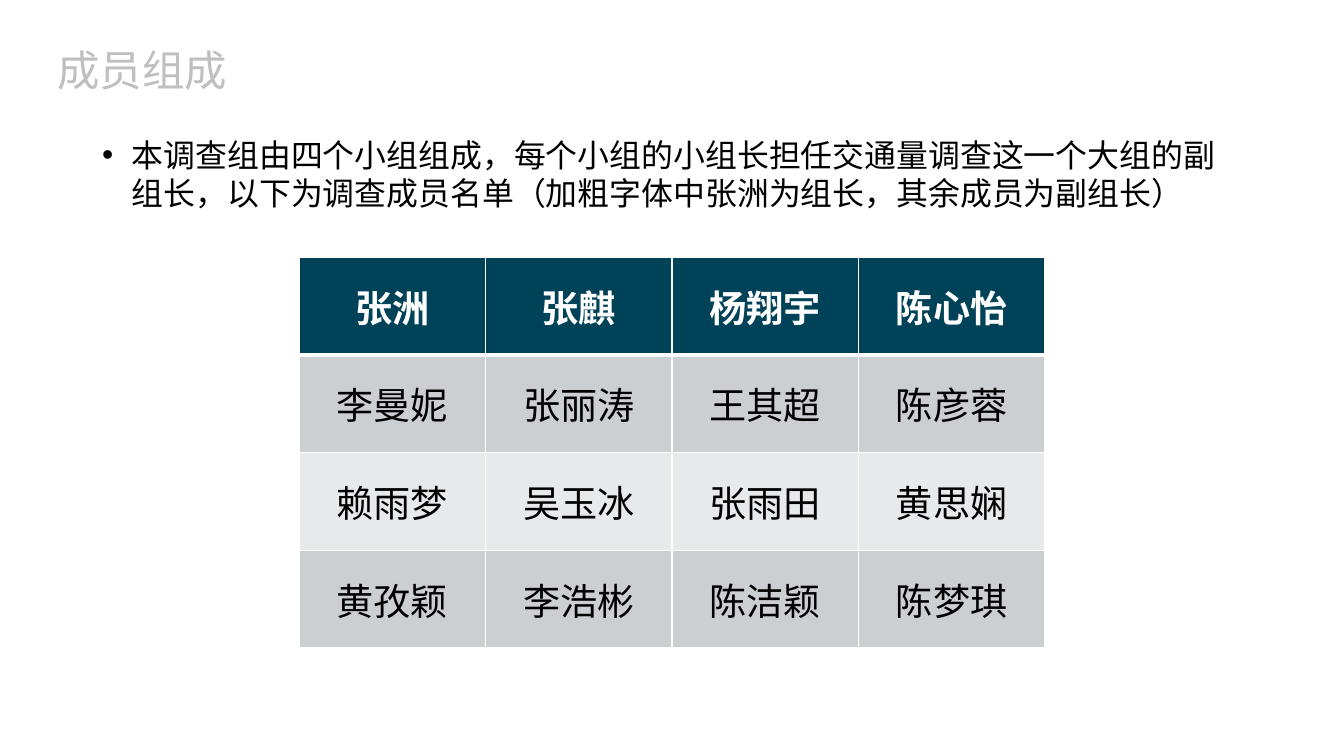
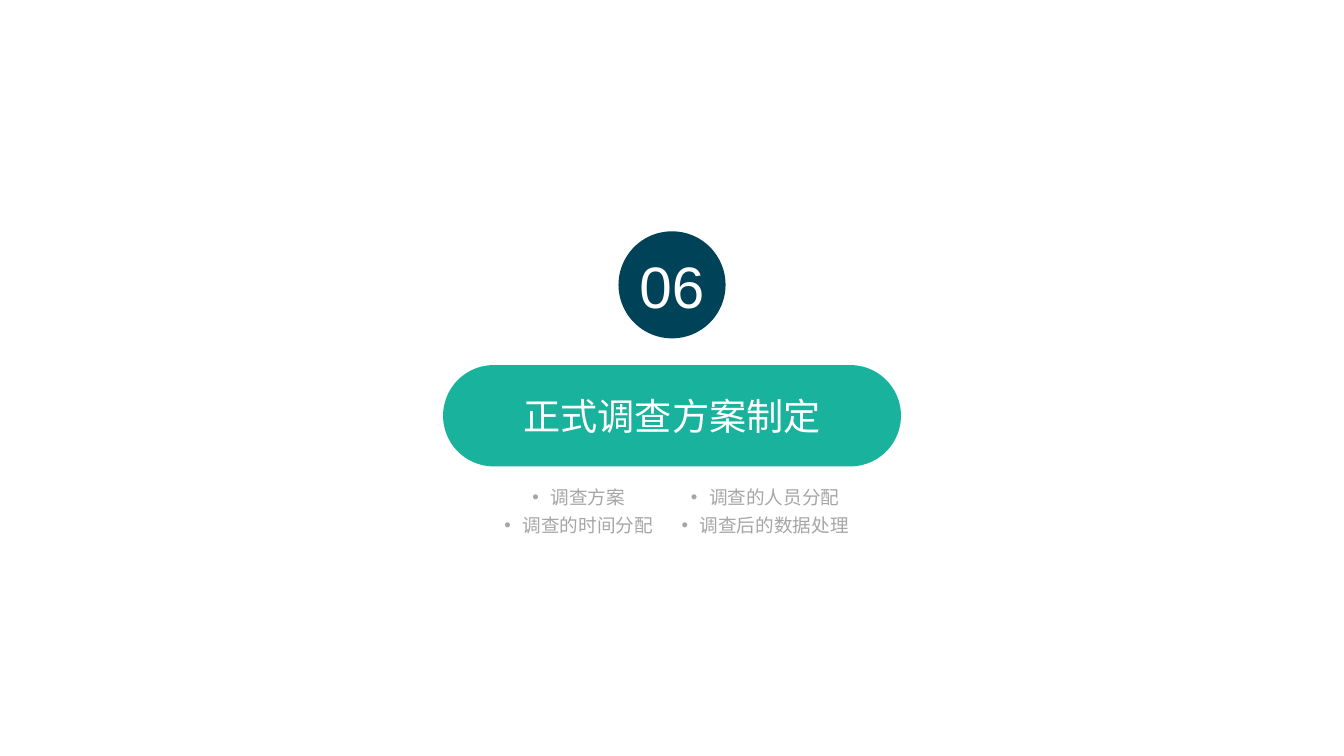
from dataclasses import dataclass

from lxml import etree
from pptx import Presentation
from pptx.dml.color import RGBColor
from pptx.enum.shapes import MSO_SHAPE
from pptx.enum.text import MSO_ANCHOR, MSO_AUTO_SIZE, PP_ALIGN
from pptx.oxml.ns import qn
from pptx.util import Inches, Pt

CENTER, LEFT = PP_ALIGN.CENTER, PP_ALIGN.LEFT
MIDDLE, TOP = MSO_ANCHOR.MIDDLE, MSO_ANCHOR.TOP
OVAL, PILL = MSO_SHAPE.OVAL, MSO_SHAPE.ROUNDED_RECTANGLE
NO_FIT = MSO_AUTO_SIZE.NONE


@dataclass(frozen=True)
class Theme:
    navy: str = "004358"
    teal: str = "18B29D"
    white: str = "FFFFFF"
    black: str = "000000"
    title_gray: str = "BFBFBF"
    topic_gray: str = "A6A6A6"
    first_band: str = "CBCFD1"
    dark_band: str = "CCCFD1"
    light_band: str = "E7E9EA"
    font: str = "Arial"
    title_font: str = "Noto Sans CJK SC"
    table_font: str = "Calibri"
    topic: int = 14
    body: int = 24
    label: int = 28
    title: int = 32
    number: int = 44
    leading: float = 1.2


T = Theme()
SLIDE_W, SLIDE_H = 14.06, 7.91

MEMBERS = [
    ["张洲", "张麒", "杨翔宇", "陈心怡"],
    ["李曼妮", "张丽涛", "王其超", "陈彦蓉"],
    ["赖雨梦", "吴玉冰", "张雨田", "黄思娴"],
    ["黄孜颖", "李浩彬", "陈洁颖", "陈梦琪"],
]
TOPICS = [
    ["调查方案", "调查的人员分配"],
    ["调查的时间分配", "调查后的数据处理"],
]


def rgb(value):
    return RGBColor.from_string(value)


def write(tf, text, size, color, font=T.font, bold=False, align=LEFT,
          leading=None, hang=None):
    p = tf.paragraphs[0]
    p.alignment = align
    if leading:
        p.line_spacing = Pt(size * leading)
    if hang:
        pPr = p._p.get_or_add_pPr()
        pPr.set("marL", str(Inches(hang)))
        pPr.set("indent", str(-Inches(hang)))
        etree.SubElement(pPr, qn("a:buFont")).set("typeface", T.font)
        etree.SubElement(pPr, qn("a:buChar")).set("char", "•")
    r = p.add_run()
    r.text = text
    r.font.size = Pt(size)
    r.font.name = font
    r.font.bold = bold
    r.font.color.rgb = rgb(color)


def set_frame(tf, inset_x, inset_y, anchor, wrap=True):
    tf.word_wrap = wrap
    tf.auto_size = NO_FIT
    tf.vertical_anchor = anchor
    tf.margin_left = tf.margin_right = Inches(inset_x)
    tf.margin_top = tf.margin_bottom = Inches(inset_y)


def add_text(s, box, text, size, color, inset=(0.1, 0.05), wrap=True, **fmt):
    tf = s.shapes.add_textbox(*map(Inches, box)).text_frame
    set_frame(tf, *inset, TOP, wrap)
    write(tf, text, size, color, leading=T.leading, **fmt)


def add_badge(s, kind, box, fill, text, size):
    sp = s.shapes.add_shape(kind, *map(Inches, box))
    sp.shadow.inherit = False
    sp.fill.solid()
    sp.fill.fore_color.rgb = rgb(fill)
    sp.line.fill.background()
    set_frame(sp.text_frame, 0, 0, MIDDLE)
    write(sp.text_frame, text, size, T.white, align=CENTER)
    return sp


def set_borders(cell, widths):
    tcPr = cell._tc.get_or_add_tcPr()
    for i, (side, width) in enumerate(widths.items()):
        ln = etree.Element(qn(f"a:ln{side}"), w=str(Pt(width)))
        fill = etree.SubElement(ln, qn("a:solidFill"))
        etree.SubElement(fill, qn("a:srgbClr")).set("val", T.white)
        tcPr.insert(i, ln)


def cell_fill(row, col):
    if row == 0:
        return T.navy
    if row % 2 == 0:
        return T.light_band
    return T.first_band if col == 0 else T.dark_band


def member_table(s, box, rows):
    x, y, w, h = box
    n_rows, n_cols = len(rows), len(rows[0])
    table = s.shapes.add_table(n_rows, n_cols, *map(Inches, box)).table
    table.first_row = table.horz_banding = False
    for col in table.columns:
        col.width = Inches(w / n_cols)
    for i, names in enumerate(rows):
        table.rows[i].height = Inches(h / n_rows)
        header = i == 0
        for j, name in enumerate(names):
            cell = table.cell(i, j)
            cell.vertical_anchor = MIDDLE
            cell.margin_left = cell.margin_right = Inches(0.07)
            cell.margin_top = cell.margin_bottom = 0
            cell.fill.solid()
            cell.fill.fore_color.rgb = rgb(cell_fill(i, j))
            set_borders(cell, {"L": 1, "R": 1, "T": 3 if i == 1 else 1,
                               "B": 3 if header else 1})
            write(cell.text_frame, name, T.label,
                  T.white if header else T.black,
                  font=T.table_font, bold=header, align=CENTER)


def topic_grid(s, box, topics):
    x, y, w, h = box
    hang, char_w = 0.19, 0.195
    col_w, row_h = w / len(topics[0]), h / len(topics)
    for i, row in enumerate(topics):
        for j, topic in enumerate(row):
            width = hang + char_w * len(topic)
            left = x + (j + 0.5) * col_w - width / 2
            add_text(s, (left, y + i * row_h, width, 0.24), topic, T.topic,
                     T.topic_gray, inset=(0, 0), wrap=False, align=CENTER,
                     hang=hang)


def new_slide(prs):
    return prs.slides.add_slide(prs.slide_layouts[6])


def members_slide(prs):
    s = new_slide(prs)
    member_table(s, (3.13, 2.69, 7.8, 4.09), MEMBERS)
    add_text(s, (0.97, 1.37, 12.05, 0.91),
             "本调查组由四个小组组成，每个小组的小组长担任交通量调查这一个大组的副组长，"
             "以下为调查成员名单（加粗字体中张洲为组长，其余成员为副组长）",
             T.body, T.black, hang=0.31)
    add_text(s, (0.5, 0.41, 2.44, 0.64), "成员组成", T.title, T.title_gray,
             font=T.title_font)


def section_slide(prs):
    s = new_slide(prs)
    center = SLIDE_W / 2
    pill_w, circle_d, grid_w = 4.79, 1.12, 3.9
    pill = add_badge(s, PILL, (center - pill_w / 2, 3.82, pill_w, 1.06),
                     T.teal, "正式调查方案制定", T.label)
    pill.adjustments[0] = 0.5
    add_badge(s, OVAL, (center - circle_d / 2, 2.42, circle_d, circle_d),
              T.navy, "06", T.number)
    topic_grid(s, (center - grid_w / 2, 5.08, grid_w, 0.6), TOPICS)


def main():
    prs = Presentation()
    prs.slide_width, prs.slide_height = Inches(SLIDE_W), Inches(SLIDE_H)
    members_slide(prs)
    section_slide(prs)
    prs.save("out.pptx")


if __name__ == "__main__":
    main()
